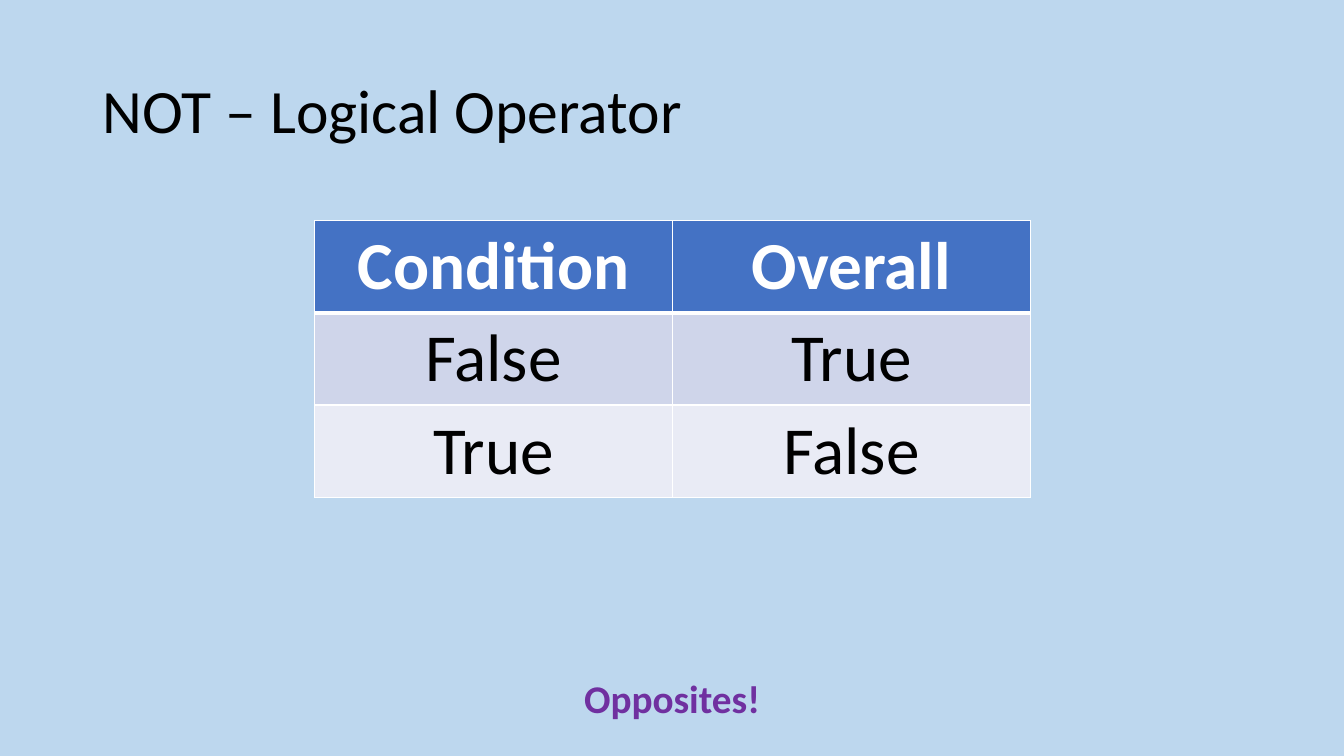
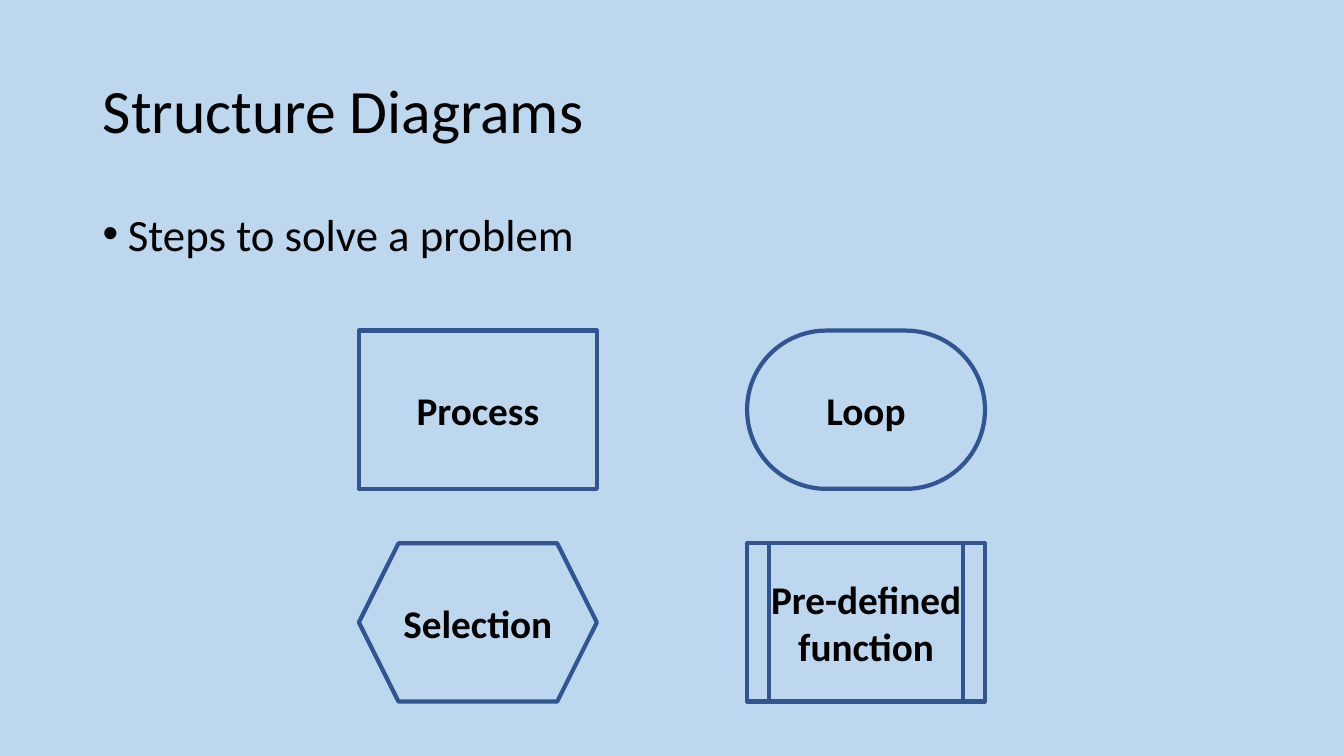
import dataclasses

import pptx
import pptx.dml.color
import pptx.enum.shapes
import pptx.enum.text
import pptx.oxml.ns
import pptx.util
from lxml import etree

Inches = pptx.util.Inches
Pt = pptx.util.Pt
Align = pptx.enum.text.PP_ALIGN
Anchor = pptx.enum.text.MSO_ANCHOR
Preset = pptx.enum.shapes.MSO_SHAPE
qn = pptx.oxml.ns.qn


@dataclasses.dataclass(frozen=True)
class Theme:
    font: str = "Calibri"
    background: str = "BDD7EE"
    text: str = "000000"
    white: str = "FFFFFF"
    accent: str = "7030A0"
    outline: str = "325491"
    header: str = "4472C4"
    bands: tuple = ("CFD5EA", "E9EBF5")
    title_size: int = 44
    body_size: int = 32
    label_size: int = 28
    table_size: int = 48
    outline_width: int = 3


THEME = Theme()


def rgb(color):
    return pptx.dml.color.RGBColor.from_string(color)


def write(frame, text, *, size, color=THEME.text, bold=False,
          align=Align.CENTER, anchor=Anchor.TOP, line_spacing=None, wrap=True):
    """Fill a text frame, one paragraph for each line of text."""
    frame.word_wrap = wrap
    frame.vertical_anchor = anchor
    frame.text = text
    for paragraph in frame.paragraphs:
        paragraph.alignment = align
        paragraph.line_spacing = line_spacing
        for run in paragraph.runs:
            run.font.name = THEME.font
            run.font.size = Pt(size)
            run.font.bold = bold
            run.font.color.rgb = rgb(color)


def add_titled_slide(presentation, title):
    slide = presentation.slides.add_slide(presentation.slide_layouts[5])
    shape = slide.shapes.title
    shape.left, shape.top = Inches(0.92), Inches(0.4)
    shape.width, shape.height = Inches(11.5), Inches(1.45)
    write(shape.text_frame, title, size=THEME.title_size, align=Align.LEFT,
          anchor=Anchor.MIDDLE, line_spacing=0.9)
    return slide


def add_text(slide, text, left, top, width, height, **text_format):
    box = slide.shapes.add_textbox(Inches(left), Inches(top), Inches(width), Inches(height))
    write(box.text_frame, text, **text_format)
    return box


def add_bullet(slide, text, left, top, width, height):
    box = add_text(slide, text, left, top, width, height,
                   size=THEME.body_size, align=Align.LEFT)
    paragraph = box.text_frame.paragraphs[0]
    paragraph.space_before, paragraph.space_after = Pt(10), Pt(12)
    properties = paragraph._p.get_or_add_pPr()
    properties.set("marL", str(Inches(0.25)))
    properties.set("indent", str(-Inches(0.25)))
    etree.SubElement(properties, qn("a:buFont"), typeface="Arial")
    etree.SubElement(properties, qn("a:buChar"), char="•")


def set_borders(cell, **widths):
    """Draw white borders; each keyword is a side (L, R, T, B) and its points."""
    properties = cell._tc.get_or_add_tcPr()
    for side, width in widths.items():
        line = etree.SubElement(properties, qn(f"a:ln{side}"), w=str(Pt(width)))
        fill = etree.SubElement(line, qn("a:solidFill"))
        etree.SubElement(fill, qn("a:srgbClr"), val=THEME.white)


def add_truth_table(slide, rows, left, top, column_width, row_height):
    table = slide.shapes.add_table(
        len(rows), len(rows[0]), Inches(left), Inches(top),
        Inches(column_width * len(rows[0])), Inches(row_height * len(rows))).table
    for column in table.columns:
        column.width = Inches(column_width)
    for row_index, row in enumerate(rows):
        is_header = row_index == 0
        fill = THEME.header if is_header else THEME.bands[(row_index - 1) % 2]
        for column_index, text in enumerate(row):
            cell = table.cell(row_index, column_index)
            # The rule under the header is thicker than the others.
            set_borders(cell, L=1, R=1, T=3 if row_index == 1 else 1,
                        B=3 if is_header else 1)
            cell.fill.solid()
            cell.fill.fore_color.rgb = rgb(fill)
            write(cell.text_frame, text, size=THEME.table_size, bold=is_header,
                  color=THEME.white if is_header else THEME.text)


def set_outline(line):
    line.color.rgb = rgb(THEME.outline)
    line.width = Pt(THEME.outline_width)


def add_symbol(shapes, preset, text, left, top, width, height):
    shape = shapes.add_shape(preset, Inches(left), Inches(top), Inches(width), Inches(height))
    shape.shadow.inherit = False
    shape.fill.background()
    set_outline(shape.line)
    write(shape.text_frame, text, size=THEME.label_size, bold=True,
          anchor=Anchor.MIDDLE, wrap=False)
    return shape


def add_vertical_line(shapes, x, top, bottom):
    connector = shapes.add_connector(
        pptx.enum.shapes.MSO_CONNECTOR.STRAIGHT,
        Inches(x), Inches(top), Inches(x), Inches(bottom))
    set_outline(connector.line)
    etree.SubElement(connector._element.spPr, qn("a:effectLst"))


def add_function_symbol(slide, text, left, top, width, height, bar=0.22):
    """Group a box with a bar line inside each of its two sides."""
    shapes = slide.shapes.add_group_shape().shapes
    add_symbol(shapes, Preset.RECTANGLE, text, left, top, width, height)
    for x in (left + bar, left + width - bar):
        add_vertical_line(shapes, x, top, top + height)


def build_not_operator(presentation):
    slide = add_titled_slide(presentation, "NOT – Logical Operator")
    rows = [("Condition", "Overall"), ("False", "True"), ("True", "False")]
    add_truth_table(slide, rows, 3.12, 2.19, column_width=3.55, row_height=0.91)
    add_text(slide, "Opposites!", 5.62, 6.64, 2.09, 0.57, size=THEME.label_size,
             color=THEME.accent, bold=True, wrap=False)


def build_structure_diagrams(presentation):
    slide = add_titled_slide(presentation, "Structure Diagrams")
    add_bullet(slide, "Steps to solve a problem", 0.92, 2, 11.5, 1)

    # Two by two grid of symbols
    columns, rows = (3.56, 7.41), (3.28, 5.39)
    size = (2.36, 1.57)
    add_symbol(slide.shapes, Preset.RECTANGLE, "Process", columns[0], rows[0], *size)
    loop = add_symbol(slide.shapes, Preset.ROUNDED_RECTANGLE, "Loop",
                      columns[1], rows[0], *size)
    loop.adjustments[0] = 0.5
    add_symbol(slide.shapes, Preset.HEXAGON, "Selection", columns[0], rows[1], *size)
    add_function_symbol(slide, "Pre-defined\nfunction", columns[1], rows[1], *size)


def main():
    presentation = pptx.Presentation()
    presentation.slide_width = Inches(13.33)
    presentation.slide_height = Inches(7.5)

    # Shared background
    background = presentation.slide_master.background.fill
    background.solid()
    background.fore_color.rgb = rgb(THEME.background)

    build_not_operator(presentation)
    build_structure_diagrams(presentation)
    presentation.save("out.pptx")


if __name__ == "__main__":
    main()
